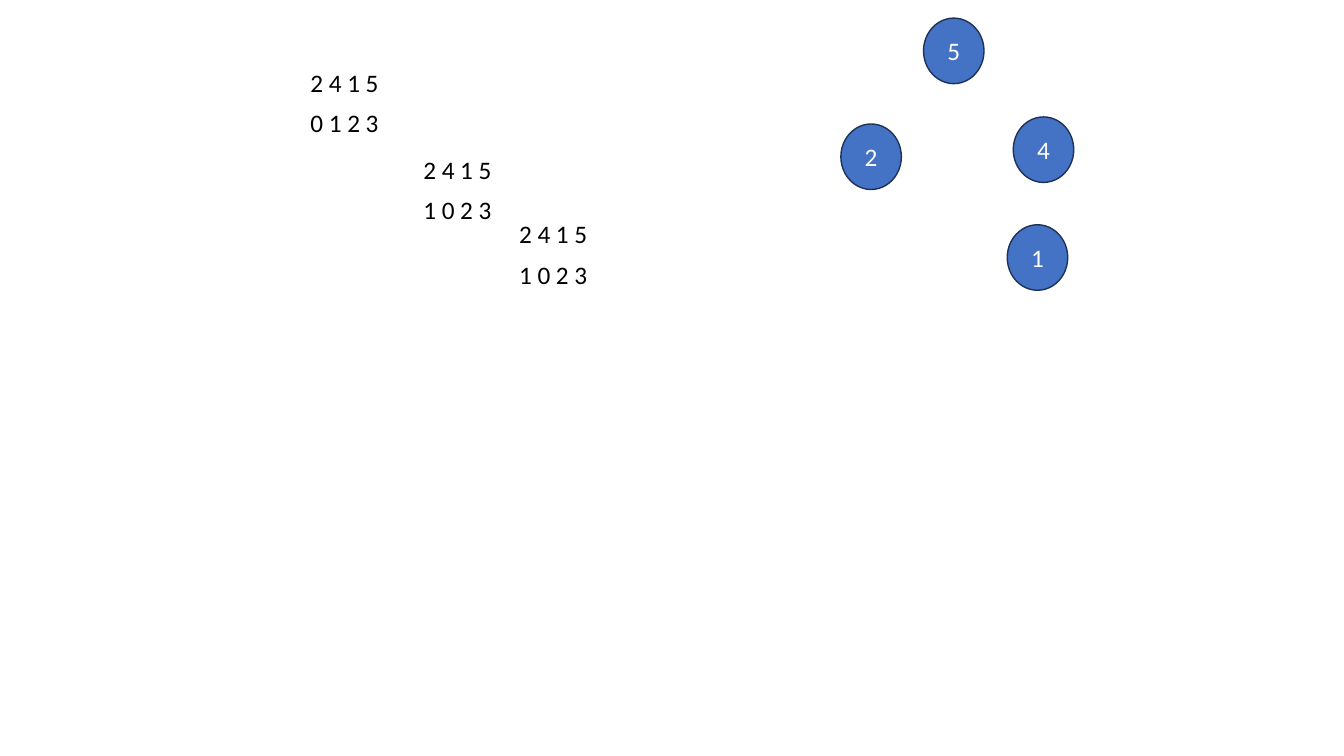
from pptx import Presentation
from pptx.dml.color import RGBColor
from pptx.enum.shapes import MSO_SHAPE as SHAPE
from pptx.enum.text import MSO_ANCHOR as ANCHOR, MSO_AUTO_SIZE as AUTO, PP_ALIGN as ALIGN
from pptx.util import Emu, Pt

PX = 9144
ROW_GAP = 40
ARRAY_STEPS = [
    (298, 62, "0 1 2 3"),
    (410, 148, "1 0 2 3"),
    (505, 212, "1 0 2 3"),
]
NODES = [(1005, 116, "4"), (834, 123, "2"), (999, 223, "1"), (916, 18, "5")]


def px(*lengths):
    """Turn pixel lengths into EMU."""
    return [Emu(n * PX) for n in lengths]


def color(value):
    """Return the colour for a hex string."""
    return RGBColor.from_string(value)


def add_run(p, text, hex_color):
    """Add one run in the slide's font."""
    r = p.add_run()
    r.text = text
    r.font.name = "Calibri"
    r.font.size = Pt(18)
    r.font.color.rgb = color(hex_color)


def add_row(s, x, y, text):
    """Add one row of numbers."""
    tf = s.shapes.add_textbox(*px(x, y, 89, 40)).text_frame
    tf.word_wrap = False
    tf.auto_size = AUTO.SHAPE_TO_FIT_TEXT
    add_run(tf.paragraphs[0], text, "000000")


def add_array_step(s, x, y, indices):
    """Add the values with their indices below."""
    for i, text in enumerate(["2 4 1 5", indices]):
        add_row(s, x, y + i * ROW_GAP, text)


def add_node(s, x, y, text):
    """Add one round tree node."""
    sp = s.shapes.add_shape(SHAPE.OVAL, *px(x, y, 60, 65))
    sp.shadow.inherit = False
    sp.fill.solid()
    sp.fill.fore_color.rgb = color("4472C4")
    sp.line.color.rgb = color("1E3256")
    sp.line.width = Pt(1)
    tf = sp.text_frame
    tf.vertical_anchor = ANCHOR.MIDDLE
    p = tf.paragraphs[0]
    p.alignment = ALIGN.CENTER
    add_run(p, text, "FFFFFF")


def main():
    """Build and save the slide."""
    prs = Presentation()
    prs.slide_width, prs.slide_height = px(1333, 750)
    s = prs.slides.add_slide(prs.slide_layouts[6])
    for step in ARRAY_STEPS:
        add_array_step(s, *step)
    for node in NODES:
        add_node(s, *node)
    prs.save("out.pptx")


if __name__ == "__main__":
    main()
